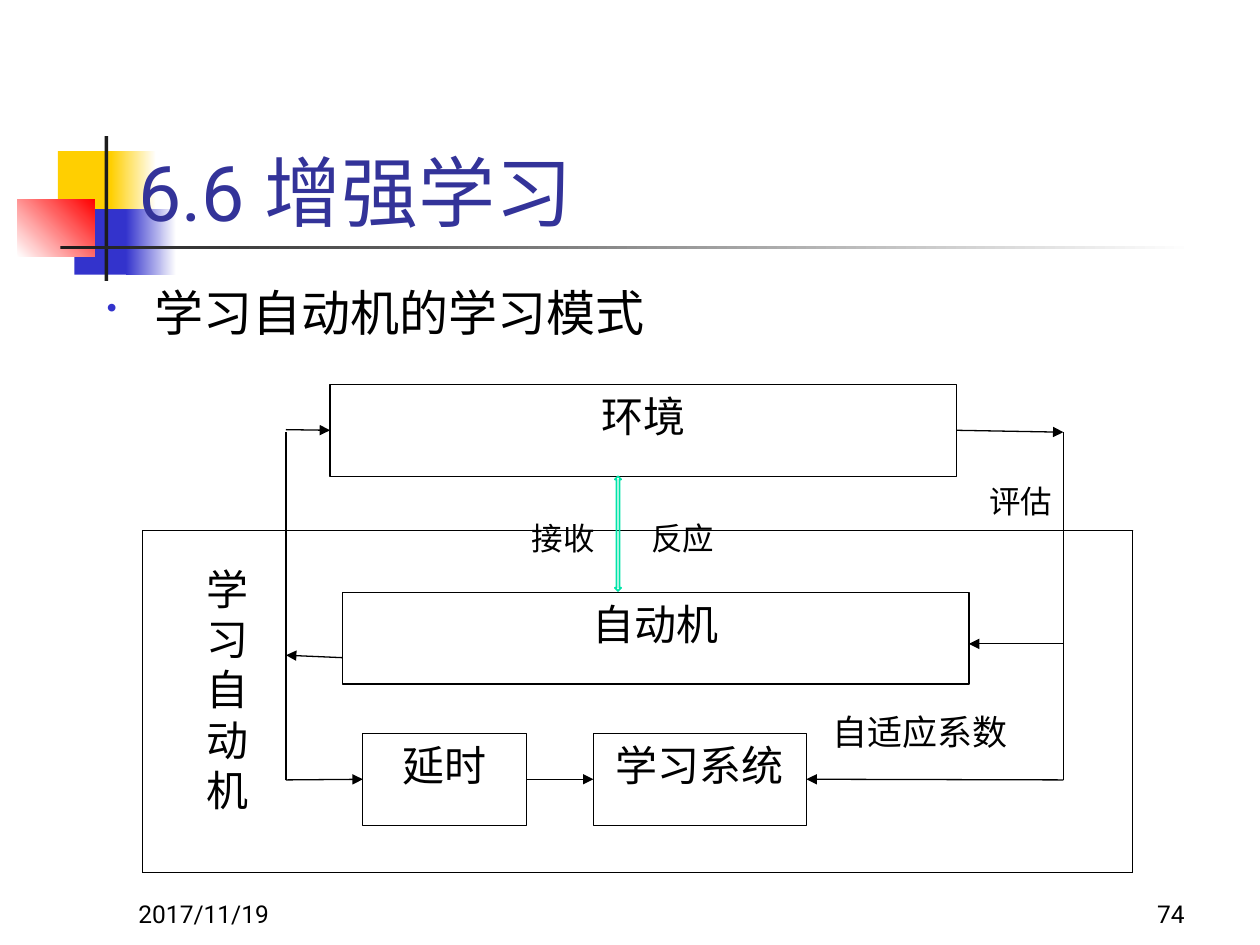
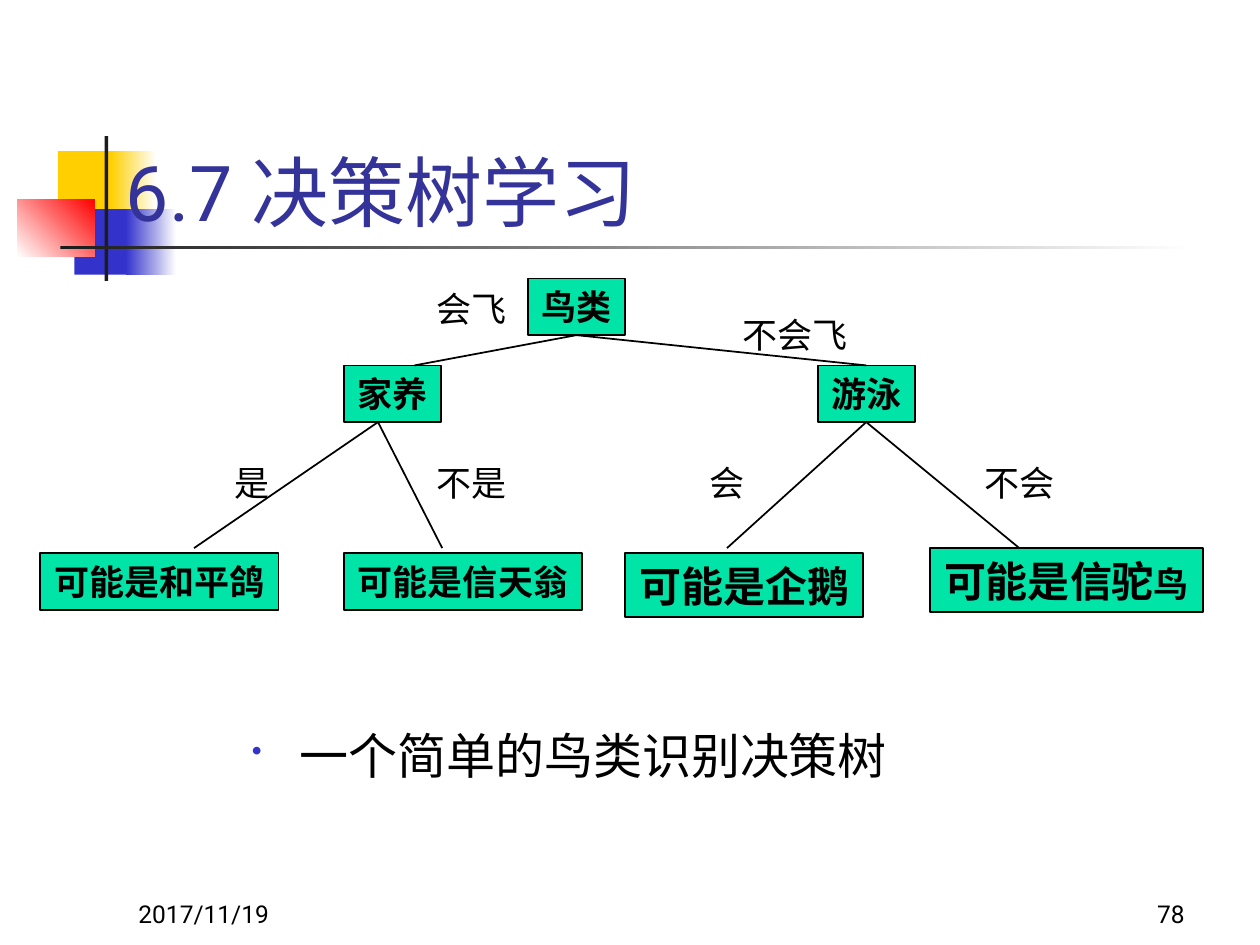
from dataclasses import dataclass
from typing import NamedTuple

import pptx
import pptx.dml.color
import pptx.enum.dml
import pptx.enum.lang
import pptx.enum.shapes
import pptx.enum.text
import pptx.oxml
import pptx.oxml.ns
import pptx.shapes.autoshape
import pptx.slide
import pptx.util
from lxml import etree

RGBColor = pptx.dml.color.RGBColor
Align = pptx.enum.text.PP_ALIGN
Anchor = pptx.enum.text.MSO_ANCHOR
Preset = pptx.enum.shapes.MSO_SHAPE
Shape = pptx.shapes.autoshape.Shape
Slide = pptx.slide.Slide

EMU_PER_PX = 9144
BLACK = RGBColor(0x00, 0x00, 0x00)
WHITE = RGBColor(0xFF, 0xFF, 0xFF)
YELLOW = RGBColor(0xFF, 0xCF, 0x01)
BLUE = RGBColor(0x33, 0x33, 0xCC)
RED = RGBColor(0xFF, 0x00, 0x00)
CHARCOAL = RGBColor(0x1C, 0x1C, 0x1C)
NAVY = RGBColor(0x33, 0x33, 0x99)
MINT = RGBColor(0x00, 0xE4, 0xA8)
ROBOTO, CALIBRI, TIMES = "Roboto", "Calibri", "Times New Roman"
TOP, LEFT, BOTTOM, RIGHT = range(4)


class Area(NamedTuple):
    left: int
    top: int
    width: int
    height: int


class Point(NamedTuple):
    x: int
    y: int


class Joint(NamedTuple):
    box: str
    side: int


class Run(NamedTuple):
    text: str
    size: int


@dataclass(frozen=True)
class Band:
    area: Area
    color: RGBColor
    fade_to: RGBColor | None = None
    angle: int = 0


@dataclass(frozen=True)
class Block:
    text: str
    area: Area
    font: str = CALIBRI
    size: int = 24
    line: RGBColor = BLACK
    align: Align = Align.CENTER


@dataclass(frozen=True)
class Node:
    area: Area
    runs: tuple[Run, ...]


@dataclass(frozen=True)
class Label:
    text: str
    area: Area


@dataclass(frozen=True)
class Link:
    begin: Point | Joint
    end: Point | Joint
    arrow: bool = True


BANDS = (
    Band(Area(46, 120, 48, 52), YELLOW),
    Band(Area(88, 120, 36, 52), YELLOW, WHITE),
    Band(Area(59, 166, 46, 52), BLUE),
    Band(Area(100, 166, 40, 52), BLUE, WHITE),
    Band(Area(14, 158, 61, 46), WHITE, RED, 45),
    Band(Area(83, 108, 3, 115), CHARCOAL),
    Band(Area(48, 195, 900, 3), CHARCOAL, WHITE),
)

LOOP_BLOCKS = (
    Block("环境", Area(262, 305, 497, 73)),
    Block("自动机", Area(272, 470, 497, 73)),
    Block("延时", Area(288, 582, 130, 73), font=ROBOTO),
    Block("学习系统", Area(471, 582, 169, 73)),
)
LOOP_CAPTIONS = (
    Block("自适应系数", Area(651, 559, 179, 54), size=20, line=WHITE, align=Align.JUSTIFY),
    Block("学习自动机", Area(154, 442, 59, 213), line=WHITE, align=Align.JUSTIFY),
)
LOOP_LINKS = (
    Link(Joint("延时", RIGHT), Joint("学习系统", LEFT)),
    Link(Joint("环境", RIGHT), Point(844, 343)),
    Link(Point(844, 511), Point(769, 511)),
    Link(Point(844, 619), Joint("学习系统", RIGHT)),
    Link(Point(844, 343), Point(844, 619), arrow=False),
    Link(Point(227, 341), Joint("环境", LEFT)),
    Link(Point(272, 522), Point(227, 520)),
    Link(Point(227, 619), Joint("延时", LEFT)),
    Link(Point(227, 343), Point(227, 619), arrow=False),
)
LOOP_LABELS = (
    Label("接收", Area(406, 407, 82, 40)),
    Label("反应", Area(501, 407, 82, 40)),
    Label("评估", Area(769, 378, 82, 40)),
)

TREE_NODES = (
    Node(Area(419, 221, 77, 45), (Run("鸟类", 20),)),
    Node(Area(273, 290, 77, 45), (Run("家养", 20),)),
    Node(Area(649, 290, 77, 45), (Run("游泳", 20),)),
    Node(Area(32, 439, 189, 45), (Run("可能是和平鸽", 20),)),
    Node(Area(273, 439, 189, 45), (Run("可能是信天翁", 20),)),
    Node(Area(496, 439, 189, 51), (Run("可能是企鹅", 24),)),
    Node(Area(738, 435, 217, 51), (Run("可能是信驼", 24), Run("鸟", 20))),
)
TREE_LINKS = (
    Link(Joint("鸟类", BOTTOM), Point(329, 290), arrow=False),
    Link(Joint("鸟类", BOTTOM), Joint("游泳", TOP), arrow=False),
    Link(Point(300, 335), Point(154, 435), arrow=False),
    Link(Point(300, 335), Point(351, 435), arrow=False),
    Link(Joint("游泳", BOTTOM), Point(577, 435), arrow=False),
    Link(Joint("游泳", BOTTOM), Point(809, 435), arrow=False),
)
TREE_LABELS = (
    Label("会飞", Area(329, 223, 90, 43)),
    Label("不会飞", Area(577, 244, 108, 43)),
    Label("是", Area(176, 361, 45, 43)),
    Label("不是", Area(329, 361, 90, 43)),
    Label("会", Area(532, 361, 90, 43)),
    Label("不会", Area(764, 361, 90, 43)),
)


def px(length: int) -> pptx.util.Emu:
    return pptx.util.Emu(length * EMU_PER_PX)


def write(shape: Shape, *runs: Run, font: str = ROBOTO, color: RGBColor = BLACK,
          bold: bool = False, align: Align = Align.LEFT, anchor: Anchor = Anchor.TOP,
          wrap: bool = True) -> None:
    frame = shape.text_frame
    frame.word_wrap = wrap
    frame.vertical_anchor = anchor
    paragraph = frame.paragraphs[0]
    paragraph.alignment = align
    for text, size in runs:
        run = paragraph.add_run()
        run.text = text
        run.font.name = font
        run.font.size = pptx.util.Pt(size)
        run.font.bold = bold
        run.font.color.rgb = color
        run.font.language_id = pptx.enum.lang.MSO_LANGUAGE_ID.SIMPLIFIED_CHINESE


def add_box(slide: Slide, area: Area, fill: RGBColor | None, line: RGBColor | None = None,
            weight: float = 0.75, preset: Preset = Preset.RECTANGLE) -> Shape:
    box = slide.shapes.add_shape(preset, *map(px, area))
    box.shadow.inherit = False
    if fill is None:
        box.fill.background()
    else:
        box.fill.solid()
        box.fill.fore_color.rgb = fill
    if line is None:
        box.line.fill.background()
    else:
        box.line.color.rgb = line
        box.line.width = pptx.util.Pt(weight)
    return box


def add_text(slide: Slide, text: str, area: Area, size: int, **style) -> Shape:
    box = slide.shapes.add_textbox(*map(px, area))
    write(box, Run(text, size), **style)
    return box


def add_bullet(slide: Slide, text: str, area: Area) -> None:
    item = add_text(slide, text, area, 28, font=TIMES)
    properties = item.text_frame.paragraphs[0]._p.get_or_add_pPr()
    properties.set("marL", str(px(38)))
    properties.set("indent", str(px(-38)))
    qn = pptx.oxml.ns.qn
    color = etree.SubElement(properties, qn("a:buClr"))
    etree.SubElement(color, qn("a:srgbClr"), val=str(BLUE))
    etree.SubElement(properties, qn("a:buSzPct"), val="60000")
    etree.SubElement(properties, qn("a:buChar"), char="•")


def add_band(slide: Slide, band: Band) -> None:
    box = add_box(slide, band.area, band.color)
    if band.fade_to is not None:
        box.fill.gradient()
        box.fill.gradient_angle = band.angle
        for stop, color in zip(box.fill.gradient_stops, (band.color, band.fade_to)):
            stop.color.rgb = color


def add_block(slide: Slide, block: Block) -> Shape:
    box = add_box(slide, block.area, WHITE, block.line)
    write(box, Run(block.text, block.size), font=block.font, align=block.align)
    return box


def add_node(slide: Slide, node: Node) -> Shape:
    box = add_box(slide, node.area, MINT, BLACK, 1)
    write(box, *node.runs, bold=True, align=Align.CENTER, anchor=Anchor.MIDDLE, wrap=False)
    return box


def add_link(slide: Slide, link: Link, boxes: dict[str, Shape], weight: float) -> None:
    begin, end = (Point(0, 0) if isinstance(tip, Joint) else tip
                  for tip in (link.begin, link.end))
    connector = slide.shapes.add_connector(
        pptx.enum.shapes.MSO_CONNECTOR.STRAIGHT, *map(px, begin + end))
    if isinstance(link.begin, Joint):
        connector.begin_connect(boxes[link.begin.box], link.begin.side)
    if isinstance(link.end, Joint):
        connector.end_connect(boxes[link.end.box], link.end.side)
    connector.line.color.rgb = BLACK
    connector.line.width = pptx.util.Pt(weight)
    qn = pptx.oxml.ns.qn
    if link.arrow:
        etree.SubElement(connector.line._get_or_add_ln(), qn("a:tailEnd"), type="triangle")
    etree.SubElement(connector._element.spPr, qn("a:effectLst"))


def add_labels(slide: Slide, labels: tuple[Label, ...], size: int) -> None:
    for label in labels:
        add_text(slide, label.text, label.area, size, align=Align.CENTER)


def start_slide(deck, title: str, title_area: Area, number: int) -> Slide:
    slide = deck.slides.add_slide(deck.slide_layouts[6])
    for band in BANDS:
        add_band(slide, band)
    add_text(slide, title, title_area, 44, color=NAVY, anchor=Anchor.BOTTOM)
    add_text(slide, "2017/11/19", Area(100, 692, 208, 50), 14, anchor=Anchor.BOTTOM)
    add_text(slide, str(number), Area(742, 692, 208, 50), 14,
             align=Align.RIGHT, anchor=Anchor.BOTTOM)
    return slide


def build_learning_loop(deck) -> None:
    slide = start_slide(deck, "6.6 增强学习", Area(100, 68, 878, 125), 74)
    automaton_frame = add_box(slide, Area(113, 421, 786, 271), WHITE, BLACK, 0.25)
    automaton_frame.line.dash_style = pptx.enum.dml.MSO_LINE.ROUND_DOT
    blocks = {block.text: add_block(slide, block) for block in LOOP_BLOCKS}
    for link in LOOP_LINKS:
        add_link(slide, link, blocks, 0.75)
    for caption in LOOP_CAPTIONS:
        add_block(slide, caption)
    add_bullet(slide, "学习自动机的学习模式", Area(75, 219, 467, 57))
    add_box(slide, Area(488, 378, 5, 91), None, MINT, 1, Preset.UP_DOWN_ARROW)
    add_labels(slide, LOOP_LABELS, 18)


def build_decision_tree(deck) -> None:
    slide = start_slide(deck, "6.7 决策树学习", Area(90, 68, 889, 125), 78)
    add_bullet(slide, "一个简单的鸟类识别决策树", Area(190, 571, 612, 60))
    nodes = {node.runs[0].text: add_node(slide, node) for node in TREE_NODES}
    for link in TREE_LINKS:
        add_link(slide, link, nodes, 1)
    add_labels(slide, TREE_LABELS, 20)


def main() -> None:
    deck = pptx.Presentation()
    deck.slide_width, deck.slide_height = px(1000), px(750)
    build_learning_loop(deck)
    build_decision_tree(deck)
    deck.save("out.pptx")


if __name__ == "__main__":
    main()
